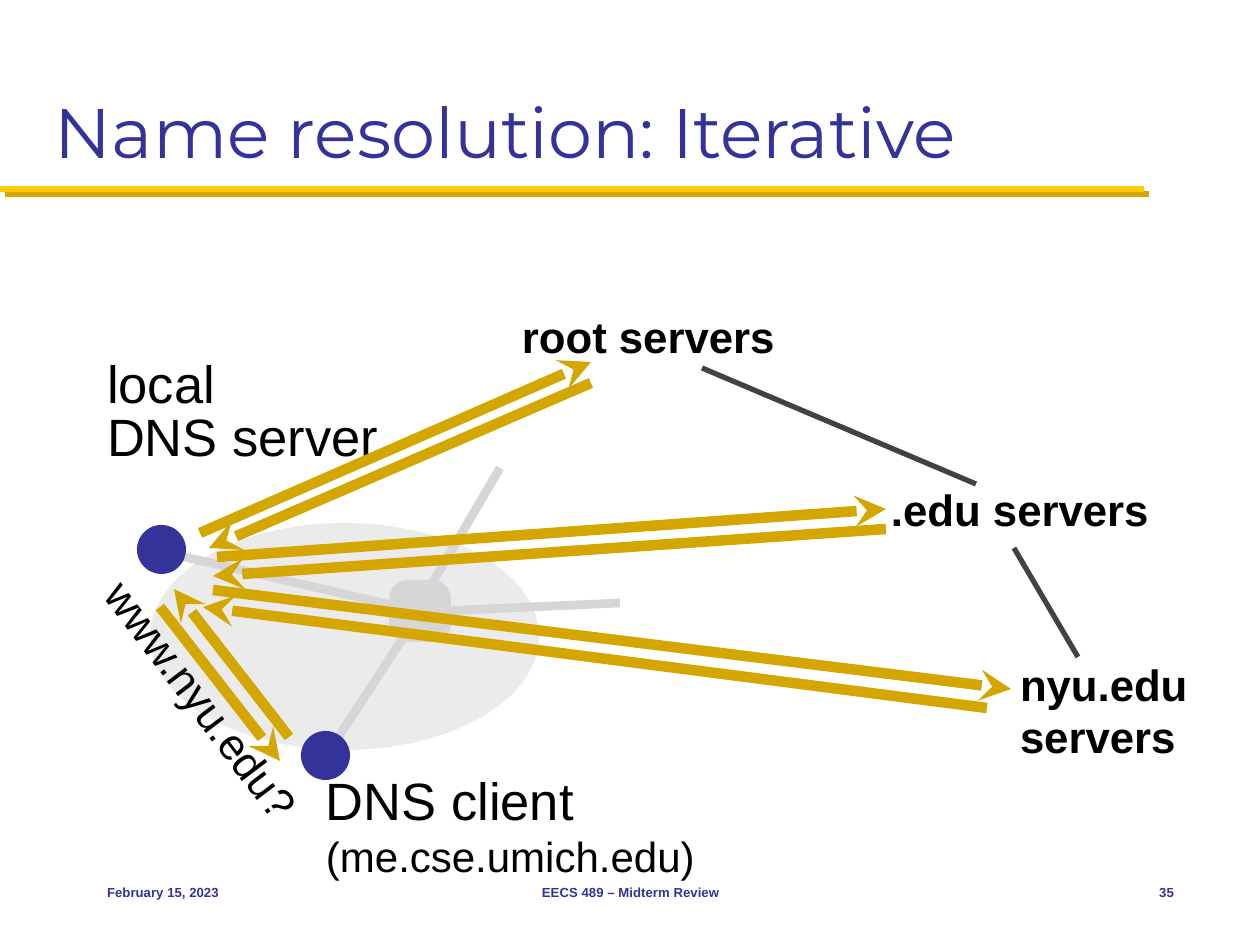
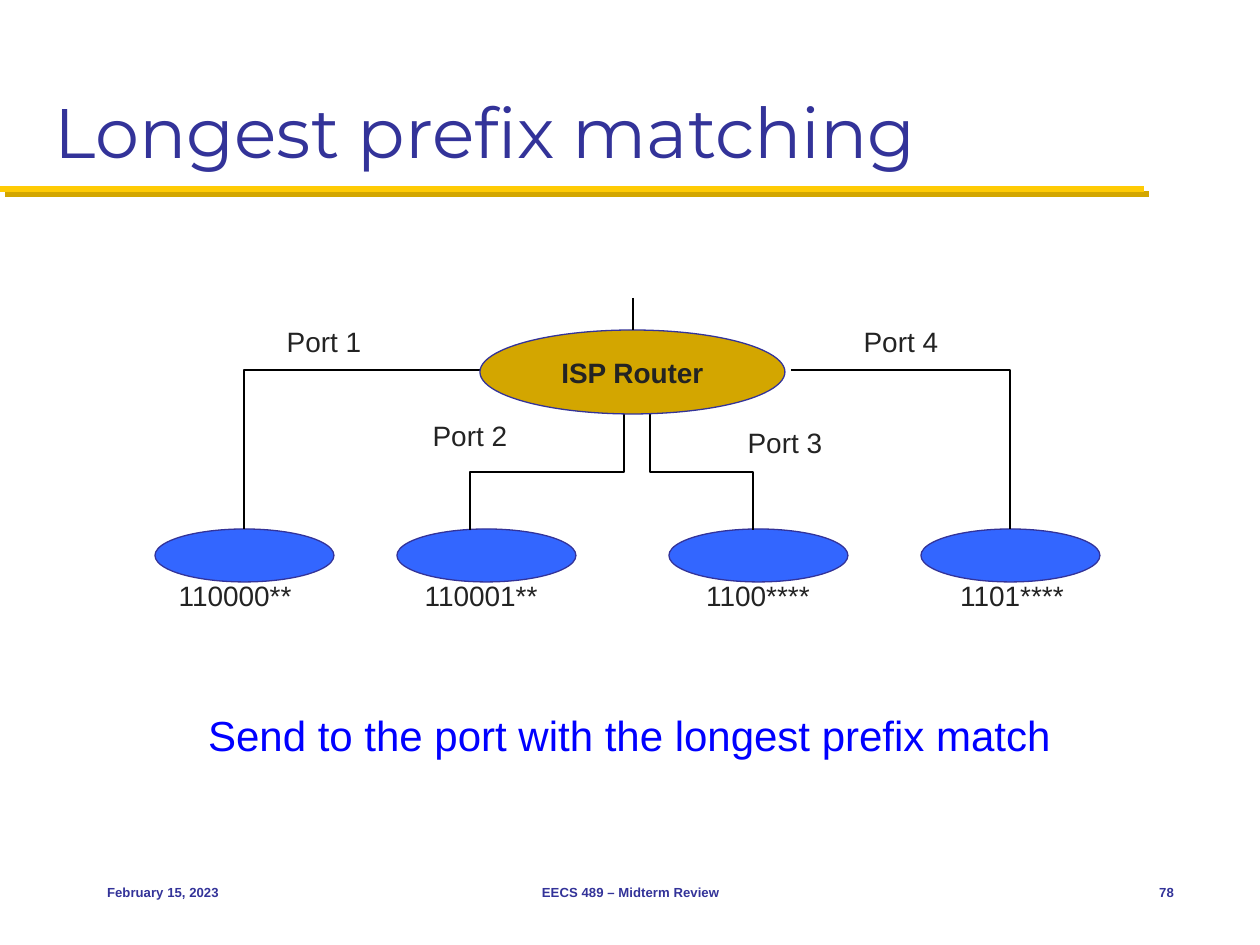
import pptx
import pptx.util
import pptx.dml.color
import pptx.enum.shapes
import pptx.enum.text
import pptx.oxml
import pptx.oxml.ns
import lxml.etree

RGB = pptx.dml.color.RGBColor
NAVY = RGB(0x33, 0x33, 0x99)
MAIZE = RGB(0xFF, 0xCB, 0x05)
GOLD = RGB(0xD3, 0xA6, 0x00)
BLACK = RGB(0, 0, 0)
DARK = RGB(0x23, 0x23, 0x23)
SLATE = RGB(0x42, 0x42, 0x42)
GREY = RGB(0xD6, 0xD6, 0xD6)
PALE = RGB(0xEB, 0xEB, 0xEB)
BLUE = RGB(0x33, 0x66, 0xFF)
BRIGHT = RGB(0, 0, 0xFF)

PX = 914400 // 126
SHAPE = pptx.enum.shapes.MSO_SHAPE
LINK = pptx.enum.shapes.MSO_CONNECTOR
ALIGN = pptx.enum.text.PP_ALIGN
ANCHOR = pptx.enum.text.MSO_ANCHOR
TIGHT = (5, 5)
WIDE = (13, 6)


def put(slide, box, words="", size=16, ink=DARK, bold=False, align=ALIGN.LEFT,
        anchor=ANCHOR.MIDDLE, pad=WIDE, font="Arial", kind=None, fill=None, edge=None):
    """Add a text box, or a filled shape if a kind is given, with its words."""
    place = [n * PX for n in box]
    if kind is None:
        item = slide.shapes.add_textbox(*place)
    else:
        item = slide.shapes.add_shape(kind, *place)
        item.shadow.inherit = False
        item.fill.solid()
        item.fill.fore_color.rgb = fill
        if edge is None:
            item.line.fill.background()
        else:
            item.line.color.rgb = edge
            item.line.width = pptx.util.Pt(0.75)
    if words:
        frame = item.text_frame
        frame.word_wrap = True
        frame.vertical_anchor = anchor
        frame.margin_left = frame.margin_right = pad[0] * PX
        frame.margin_top = frame.margin_bottom = pad[1] * PX
        frame.text = words
        frame.paragraphs[0].alignment = align
        for run in frame.paragraphs[0].runs:
            run.font.name = font
            run.font.size = pptx.util.Pt(size)
            run.font.bold = bold
            run.font.color.rgb = ink
    return item


def join(slide, ends, ink, width, kind=LINK.STRAIGHT):
    """Add a connector without a shadow between two points."""
    item = slide.shapes.add_connector(kind, *[int(n * PX) for n in ends])
    item.line.color.rgb = ink
    item.line.width = pptx.util.Pt(width)
    lxml.etree.SubElement(item._element.spPr, pptx.oxml.ns.qn("a:effectLst"))
    return item


deck = pptx.Presentation()
deck.slide_width = 1260 * PX
deck.slide_height = 945 * PX

# Rule, title and footer of every slide
pages = []
for title, number in (("Name resolution: Iterative", "35"), ("Longest prefix matching", "78")):
    page = deck.slides.add_slide(deck.slide_layouts[6])
    rule = join(page, (0, 189, 1144, 189), MAIZE, 3.5)
    rule._element.spPr[-1].append(pptx.oxml.parse_xml(
        f'<a:outerShdw {pptx.oxml.ns.nsdecls("a")} dist="53340" dir="2700000" algn="ctr" '
        f'rotWithShape="0"><a:srgbClr val="{GOLD}"/></a:outerShdw>'))
    put(page, (42, 21, 1176, 158), title, 40, NAVY, anchor=ANCHOR.BOTTOM, font="Montserrat")
    for left, width, words, align in (
            (94, 262, "February 15, 2023", ALIGN.LEFT),
            (431, 399, "EECS 489 – Midterm Review", ALIGN.CENTER),
            (1102, 85, number, ALIGN.RIGHT)):
        put(page, (left, 861, width, 63), words, 7.5, NAVY, True, align)
    pages.append(page)
names, routes = pages

# Name resolution: the local network
put(names, (150, 523, 389, 227), kind=SHAPE.OVAL, fill=PALE)
for ends in ((159, 551, 413, 610), (418, 615, 330, 750),
             (500, 468, 420, 604), (620, 603, 421, 612)):
    join(names, ends, GREY, 5)
hub = put(names, (389, 580, 62, 62), kind=SHAPE.ROUNDED_RECTANGLE, fill=GREY)
hub.adjustments[0] = 0.3
for left, top in ((301, 731), (137, 525)):
    put(names, (left, top, 49, 49), kind=SHAPE.OVAL, fill=NAVY)

# Name resolution: labels and server tree
client = put(names, (321, 762, 519, 125), "DNS client\v(me.cse.umich.edu)", 30, BLACK, pad=TIGHT)
client.text_frame.paragraphs[0].runs[1].font.size = pptx.util.Pt(24)
for box, words, size, bold in (
        ((102, 346, 121, 73), "local", 30, False),
        ((102, 399, 358, 73), "DNS server", 30, False),
        ((517, 305, 290, 63), "root servers", 25, True),
        ((886, 478, 333, 63), ".edu servers", 25, True),
        ((1015, 652, 233, 116), "nyu.edu servers", 25, True)):
    put(names, box, words, size, BLACK, bold, pad=TIGHT)
for ends in ((702, 368, 976, 484), (1014, 548, 1078, 657)):
    join(names, ends, SLATE, 3)
query = put(names, (49, 679, 304, 54), "www.nyu.edu?", 25, BLACK, pad=TIGHT)
query.rotation = 53
query.text_frame.paragraphs[0].line_spacing = 0.8

# Name resolution: requests and replies, each pointing at its first end
for ends in ((174, 589, 289, 737), (591, 362, 200, 533), (886, 509, 217, 557),
             (209, 548, 591, 383), (213, 576, 886, 529), (1011, 689, 213, 590),
             (203, 607, 987, 708), (280, 761, 160, 607)):
    arrow = join(names, ends, GOLD, 6)
    lxml.etree.SubElement(arrow.line._get_or_add_ln(), pptx.oxml.ns.qn("a:headEnd"), type="stealth")

# Prefix matching: networks and their prefixes
for left, mark, prefix in ((155, 126, "110000**"), (397, 372, "110001**"),
                           (669, 649, "1100****"), (921, 903, "1101****")):
    put(routes, (left, 529, 179, 53), kind=SHAPE.OVAL, fill=BLUE, edge=NAVY)
    put(routes, (mark, 573, 218, 47), prefix, align=ALIGN.CENTER, anchor=ANCHOR.TOP)

# Outer ports leave sideways with one bend
for start, end in ((488, 244), (791, 1010)):
    bend = join(routes, (start, 370, end, 529), BLACK, 0.75, LINK.ELBOW)
    bend._element.spPr.prstGeom.set("prst", "bentConnector2")

# Inner ports leave downwards, so their boxes are turned a quarter
for start, end in ((624, 470), (650, 753)):
    top, low = 414, 530
    side = 1 if end > start else -1
    midx, midy = (start + end) / 2, (top + low) / 2
    tall, broad = side * (low - top) / 2, abs(end - start) / 2
    bend = join(routes, (midx + tall, midy - broad, midx - tall, midy + broad),
                BLACK, 0.75, LINK.ELBOW)
    bend._element.spPr.xfrm.set("rot", str((180 + 90 * side) * 60000))

put(routes, (480, 330, 305, 84), "ISP Router", bold=True, align=ALIGN.CENTER,
    kind=SHAPE.OVAL, fill=GOLD, edge=NAVY)
join(routes, (633, 298, 633, 330), BLACK, 0.75)
for port, (left, top) in enumerate(((266, 319), (412, 413), (727, 420), (843, 319)), 1):
    put(routes, (left, top, 116, 47), f"Port {port}", align=ALIGN.CENTER, anchor=ANCHOR.TOP)
put(routes, (60, 704, 1139, 63), "Send to the port with the longest prefix match", 24, BRIGHT,
    align=ALIGN.CENTER, anchor=ANCHOR.TOP)

deck.save("out.pptx")
